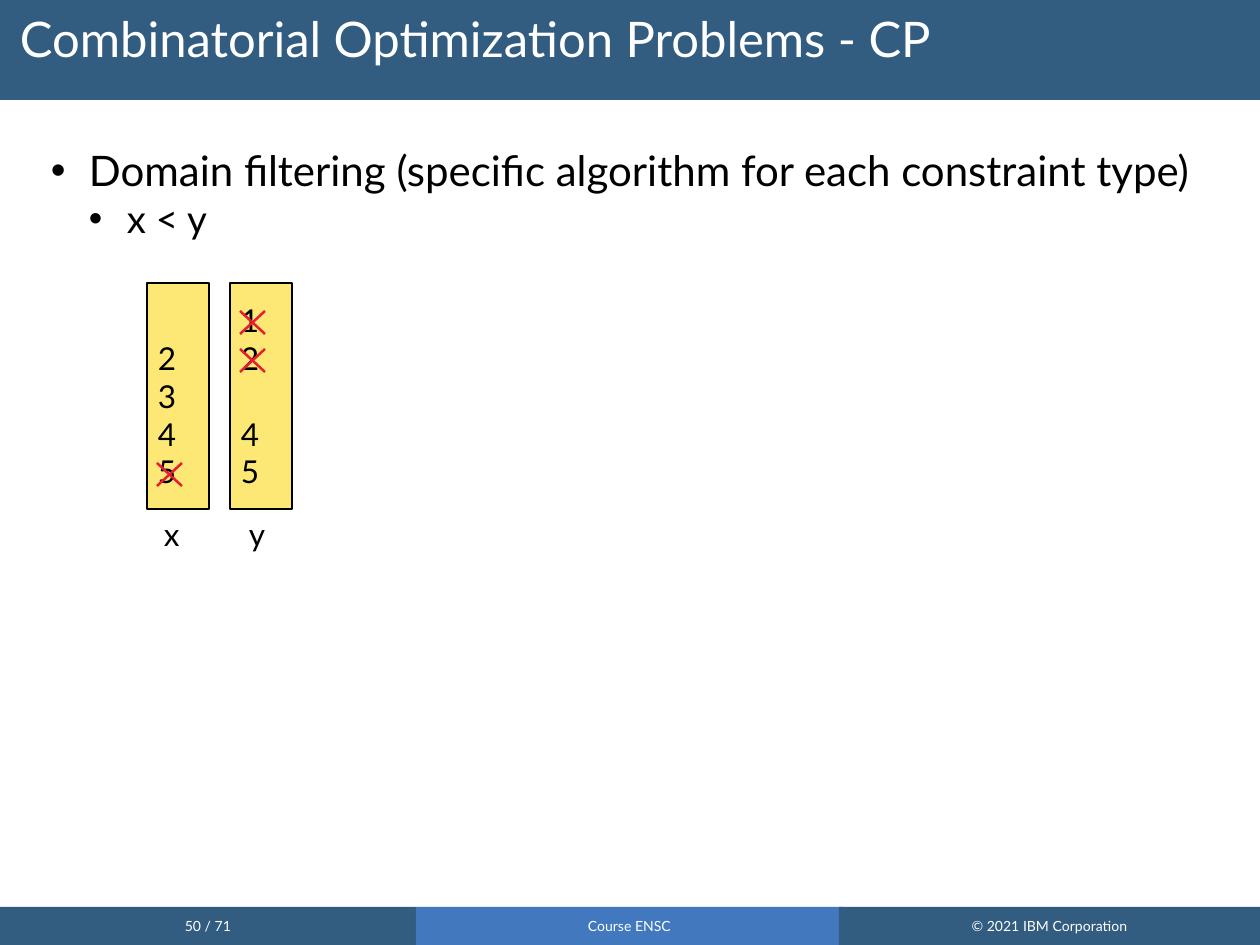
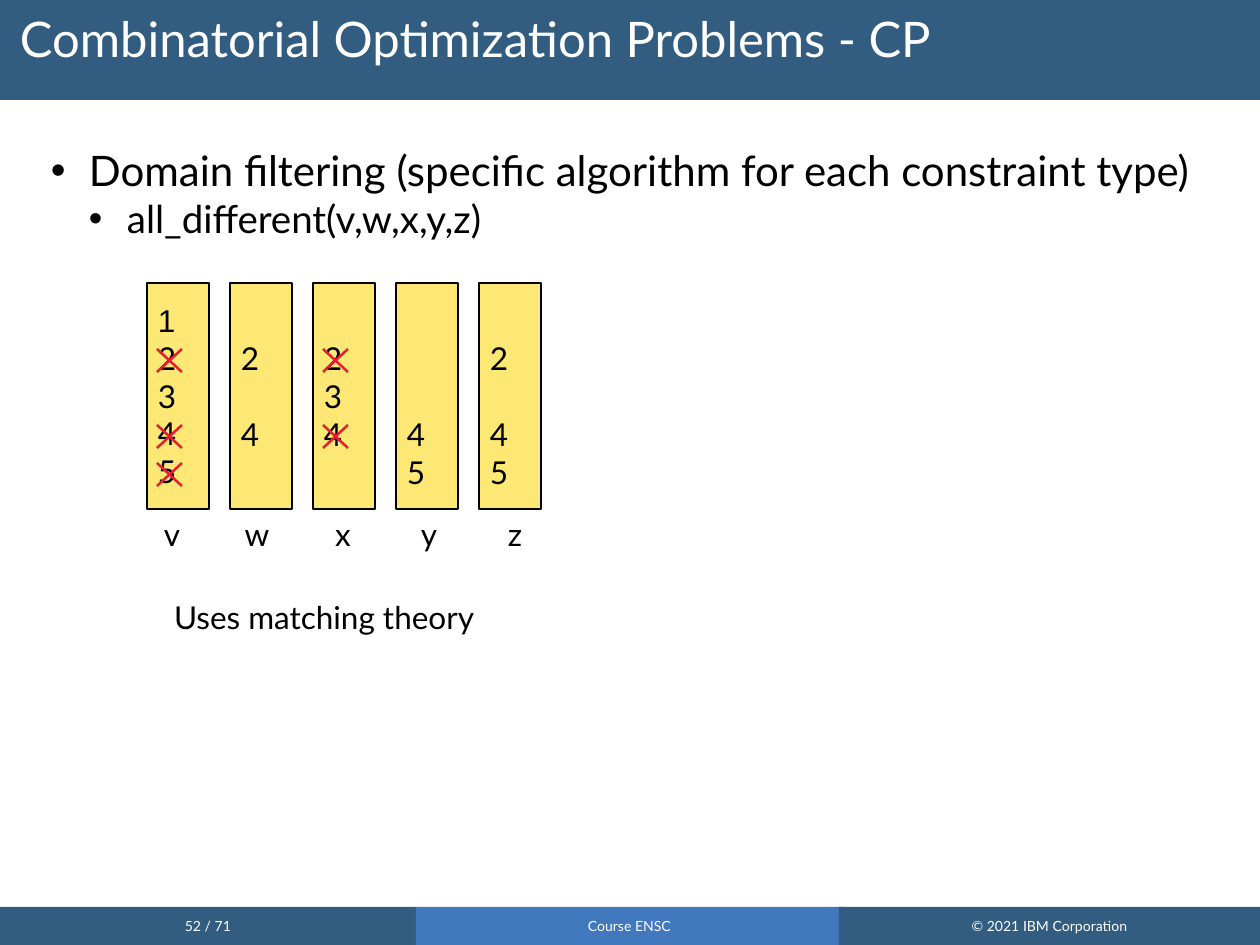
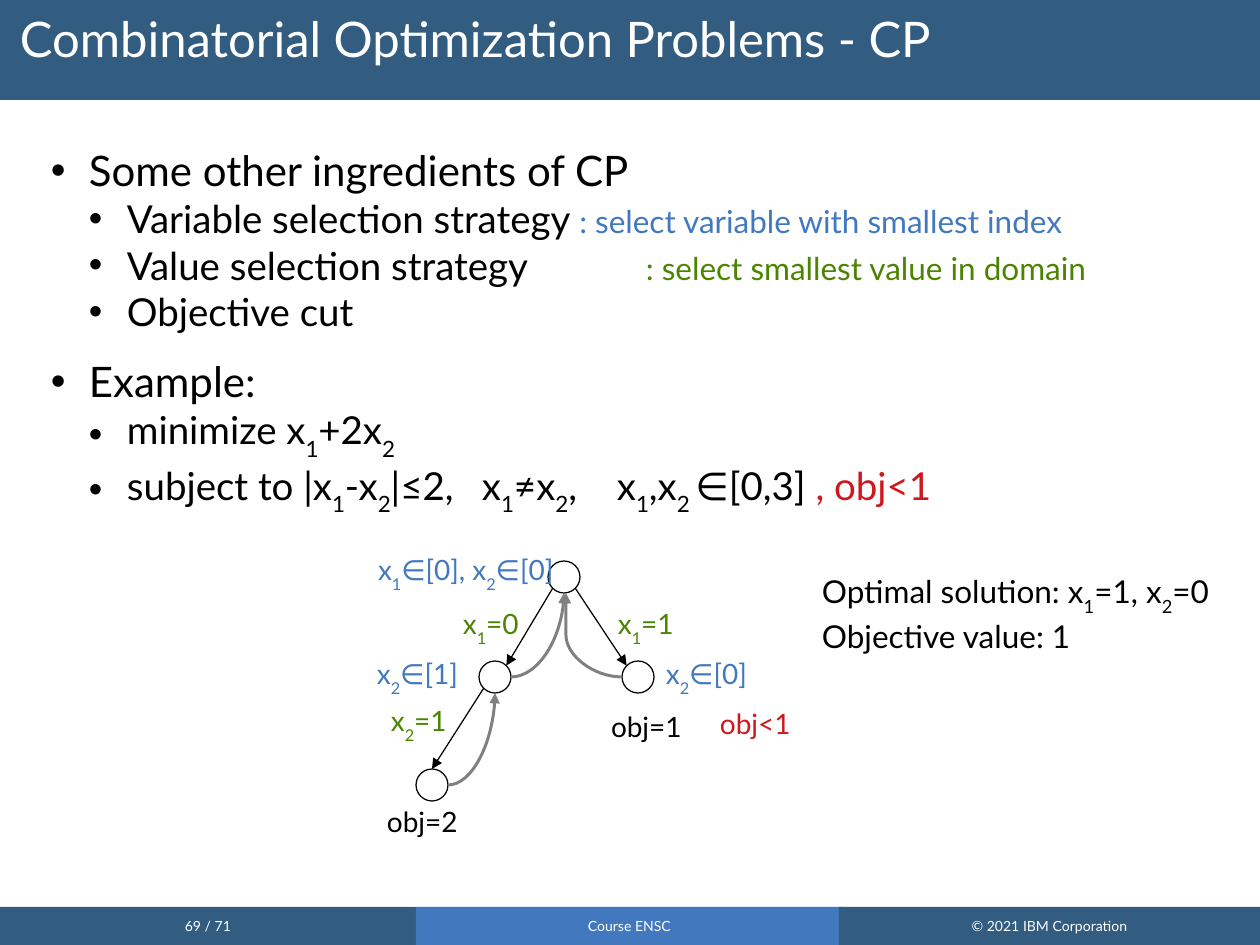
"""Build three course slides on constraint programming."""
from dataclasses import dataclass

from lxml import etree
from pptx import Presentation
from pptx import util as u
from pptx.dml.color import RGBColor
from pptx.enum import shapes, text
from pptx.oxml.ns import qn


@dataclass(frozen=True)
class Theme:
    font: str = "Lato"
    alt_font: str = "Arial"
    band: str = "325C80"
    blue: str = "4178BE"
    green: str = "4B8400"
    red: str = "CE181E"
    cross: str = "E71D32"
    yellow: str = "FDE876"
    gray: str = "808080"
    black: str = "000000"
    white: str = "FFFFFF"
    title: int = 28
    levels: tuple = (24, 22)
    normal: int = 18
    small: int = 16
    footer: int = 8
    thin: float = 0.71
    medium: float = 1.42
    thick: float = 1.7


T = Theme()

TITLE = "Combinatorial Optimization Problems - CP"
FOOTERS = [(0, 416, T.band, "{} / 71"), (416, 427, T.blue, "Course ENSC"),
           (839, 421, T.band, "© 2021 IBM Corporation")]
FILTERING = "Domain filtering (specific algorithm for each constraint type)"

LESS_THAN = [(0, [FILTERING]), (1, ["x < y"])]
LESS_THAN_DOMAINS = [("x", "2345", "5", ""), ("y", "1245", "12", "")]

ALL_DIFFERENT = [(0, [FILTERING]), (1, ["all_different(v,w,x,y,z)"])]
ALL_DIFFERENT_DOMAINS = [("v", "12345", "245", "1"), ("w", "24", "", ""),
                         ("x", "234", "24", ""), ("y", "45", "", ""),
                         ("z", "245", "", "")]
THEORY = "Uses matching theory"

INGREDIENTS = [
    (0, ["Some other ingredients of CP"]),
    (1, ["Variable selection strategy ",
         (": select variable with smallest index", T.blue, T.normal)]),
    (1, ["Value selection strategy\t",
         (": select smallest value in domain", T.green, T.normal)], [595]),
    (1, ["Objective cut"]),
    (0, ["Example:"]),
    (1, ["minimize x~1~+2x~2~"]),
    (1, ["subject to |x~1~-x~2~|≤2,\tx~1~≠x~2~,\tx~1~,x~2 ~∈[0,3] ",
         (", obj<1", T.red)], [431, 566]),
]
NODES = {"root": (548, 561), "left": (479, 661), "right": (622, 661), "leaf": (416, 769)}
BRANCHES = [("root", "sw", "left", "ne"), ("left", "sw", "leaf", "n"),
            ("root", "se", "right", "nw")]
RETURNS = [("leaf", "e", "left", "s", 0), ("left", "e", "root", "s", 0),
           ("right", "w", "root", "s", 2)]
TREE_LABELS = [
    (450, 601, 89, "x~1~=0", T.green), (365, 547, 232, "x~1~∈[0], x~2~∈[0]", T.blue),
    (364, 651, 164, "x~2~∈[1]", T.blue), (378, 698, 89, "x~2~=1", T.green),
    (374, 799, 121, "obj=2", T.black), (707, 701, 121, "obj<1", T.red),
    (605, 601, 89, "x~1~=1", T.green), (653, 651, 164, "x~2~∈[0]", T.blue),
    (598, 704, 121, "obj=1", T.black),
]
SOLUTION = ["Optimal solution: x~1~=1, x~2~=0", "Objective value: 1"]

COL_LEFT, COL_TOP, COL_W, COL_H, COL_PITCH, ROW = 147, 283, 62, 226, 83, 38
NODE = 32
SITES = {"n": (0, -1), "s": (0, 1), "e": (1, 0), "w": (-1, 0), "ne": (0.71, -0.71),
         "nw": (-0.71, -0.71), "se": (0.71, 0.71), "sw": (-0.71, 0.71)}


def px(n):
    """Turn pixels into EMU."""
    return u.Emu(round(n * 914400 / 126))


def rgb(color):
    """Turn a hex string into a colour."""
    return RGBColor.from_string(color)


def add_box(s, at, kind=None, fill=None, line=None):
    """Add a plain shape, or a text box when no kind is given."""
    at = [px(n) for n in at]
    if kind is None:
        return s.shapes.add_textbox(*at)
    sp = s.shapes.add_shape(kind, *at)
    sp.shadow.inherit = False
    sp.fill.solid()
    sp.fill.fore_color.rgb = rgb(fill)
    if line:
        sp.line.color.rgb = rgb(line)
        sp.line.width = u.Pt(T.thin)
    else:
        sp.line.fill.background()
    return sp


def add_runs(p, content, size, color, font):
    """Add runs to a paragraph; parts between tildes are subscripts."""
    for i, part in enumerate(content.split("~")):
        if part:
            r = p.add_run()
            r.text = part
            r.font.size, r.font.name = u.Pt(size), font
            r.font.color.rgb = rgb(color)
            if i % 2:
                r.font._element.set("baseline", "-33000")


def set_tabs(p, stops, align="l"):
    """Give a paragraph its tab stops."""
    tabs = etree.SubElement(p._p.get_or_add_pPr(), qn("a:tabLst"))
    for stop in stops:
        etree.SubElement(tabs, qn("a:tab"), pos=str(px(stop)), algn=align)


def write(sp, paras, size=T.normal, color=T.black, font=T.font, align=text.PP_ALIGN.LEFT,
          anchor=text.MSO_ANCHOR.TOP, insets=(13, 6, 13, 6)):
    """Write paragraphs into a shape and return them."""
    tf = sp.text_frame
    tf.word_wrap, tf.vertical_anchor = True, anchor
    tf.margin_left, tf.margin_top, tf.margin_right, tf.margin_bottom = map(px, insets)
    for i, content in enumerate(paras):
        p = tf.add_paragraph() if i else tf.paragraphs[0]
        p.alignment = align
        add_runs(p, content, size, color, font)
    return tf.paragraphs


def add_line(group, start, end, color, width, arrow=False, bend=None):
    """Add a straight line, or a curve when bend gives its adjustments."""
    kind = shapes.MSO_CONNECTOR.STRAIGHT if bend is None else shapes.MSO_CONNECTOR.CURVE
    c = group.shapes.add_connector(kind, *(px(n) for n in (*start, *end)))
    c.line.color.rgb = rgb(color)
    c.line.width = u.Pt(width)
    sp_pr = c._element.spPr
    etree.SubElement(sp_pr, qn("a:effectLst"))
    if arrow:
        etree.SubElement(sp_pr.find(qn("a:ln")), qn("a:tailEnd"), type="triangle")
    if bend is not None:
        geom = sp_pr.find(qn("a:prstGeom"))
        if bend:
            guides = geom.find(qn("a:avLst"))
            etree.SubElement(guides, qn("a:gd"), name="adj1", fmla="val 100000")
        else:
            geom.set("prst", "curvedConnector2")


def add_body(s, items):
    """Add the bulleted body text."""
    tf = add_box(s, (38, 139, 1210, 743)).text_frame
    paras = write(add_box_of(tf), [""] * len(items))
    for i, (p, (level, runs, *tabs)) in enumerate(zip(paras, items)):
        p.level = level
        p_pr = p._p.get_or_add_pPr()
        p_pr.set("marL", str(px(38 * (level + 1))))
        p_pr.set("indent", str(px(-38)))
        etree.SubElement(p_pr, qn("a:buFont"), typeface="Arial")
        etree.SubElement(p_pr, qn("a:buChar"), char="•")
        if tabs:
            set_tabs(p, tabs[0])
        if i and not level:
            p.space_before = u.Pt(12.5)
        for run in runs:
            content, color, size = (*((run,) if isinstance(run, str) else run), None, None)[:3]
            add_runs(p, content, size or T.levels[level], color or T.black, T.font)


def add_box_of(tf):
    """Return the shape that holds a text frame."""
    return tf._parent


def new_slide(prs, number, items):
    """Add a slide with its title band, footers and body."""
    s = prs.slides.add_slide(prs.slide_layouts[6])
    rect = shapes.MSO_SHAPE.RECTANGLE
    add_box(s, (-13, -13, 1285, 113), rect, T.band)
    for left, width, fill, label in FOOTERS:
        write(add_box(s, (left, 907, width, 38), rect, fill), [label.format(number)],
              size=T.footer, color=T.white, align=text.PP_ALIGN.CENTER,
              anchor=text.MSO_ANCHOR.MIDDLE)
    title = write(add_box(s, (0, 0, 1260, 101)), [TITLE], size=T.title, color=T.white,
                  insets=(20, 15, 13, 6))
    title[0].line_spacing = 0.9
    add_body(s, items)
    return s


def add_domains(s, domains):
    """Draw each variable's domain as a column, with removed values crossed."""
    for i, (_, digits, crossed, alt) in enumerate(domains):
        left = COL_LEFT + COL_PITCH * i
        sp = add_box(s, (left, COL_TOP, COL_W, COL_H), shapes.MSO_SHAPE.RECTANGLE,
                     T.yellow, T.black)
        top = (COL_H - 5 * ROW) / 2 + ROW * (int(digits[0]) - 1)
        paras = write(sp, digits, insets=(11, top, 11, 0))
        for p, before, digit in zip(paras[1:], digits, digits[1:]):
            p.space_before = px(ROW * (int(digit) - int(before) - 1))
        for p, digit in zip(paras, digits):
            if digit in alt:
                p.runs[0].font.name = T.alt_font
        for digit in crossed:
            x, y = left + 10, COL_TOP + 28 + ROW * (int(digit) - 1)
            group = s.shapes.add_group_shape()
            add_line(group, (x, y), (x + 25, y + 23), T.cross, T.medium)
            add_line(group, (x, y + 23), (x + 25, y), T.cross, T.medium)
    names = "\t".join(name for name, *_ in domains)
    p = write(add_box(s, (151, 509, 86 * len(domains) + 20, 50)), [names])[0]
    set_tabs(p, [7 + 86 * i for i in range(1, len(domains))], "ctr")


def site(node, side):
    """Return the point on a node's rim at a compass side."""
    return [n + NODE / 2 * (1 + d) for n, d in zip(NODES[node], SITES[side])]


def add_tree(s):
    """Draw the search tree with its labels."""
    for at in NODES.values():
        add_box(s, (*at, NODE, NODE), shapes.MSO_SHAPE.OVAL, T.white, T.black)
    for a, a_side, b, b_side in BRANCHES:
        add_line(s, site(a, a_side), site(b, b_side), T.black, T.thin, arrow=True)
    for a, a_side, b, b_side, shift in RETURNS:
        x, y = site(b, b_side)
        add_line(s, site(a, a_side), (x + shift, y), T.gray, T.thick, arrow=True,
                 bend=bool(shift))
    for left, top, width, label, color in TREE_LABELS:
        write(add_box(s, (left, top, width, 47)), [label], size=T.small, color=color)


def main():
    """Build and save the slides."""
    prs = Presentation()
    prs.slide_width, prs.slide_height = px(1260), px(945)
    add_domains(new_slide(prs, 50, LESS_THAN), LESS_THAN_DOMAINS)
    s = new_slide(prs, 52, ALL_DIFFERENT)
    add_domains(s, ALL_DIFFERENT_DOMAINS)
    write(add_box(s, (161, 592, 349, 50)), [THEORY])
    s = new_slide(prs, 69, INGREDIENTS)
    add_tree(s)
    write(add_box(s, (809, 566, 431, 96)), SOLUTION)
    prs.save("out.pptx")


if __name__ == "__main__":
    main()
